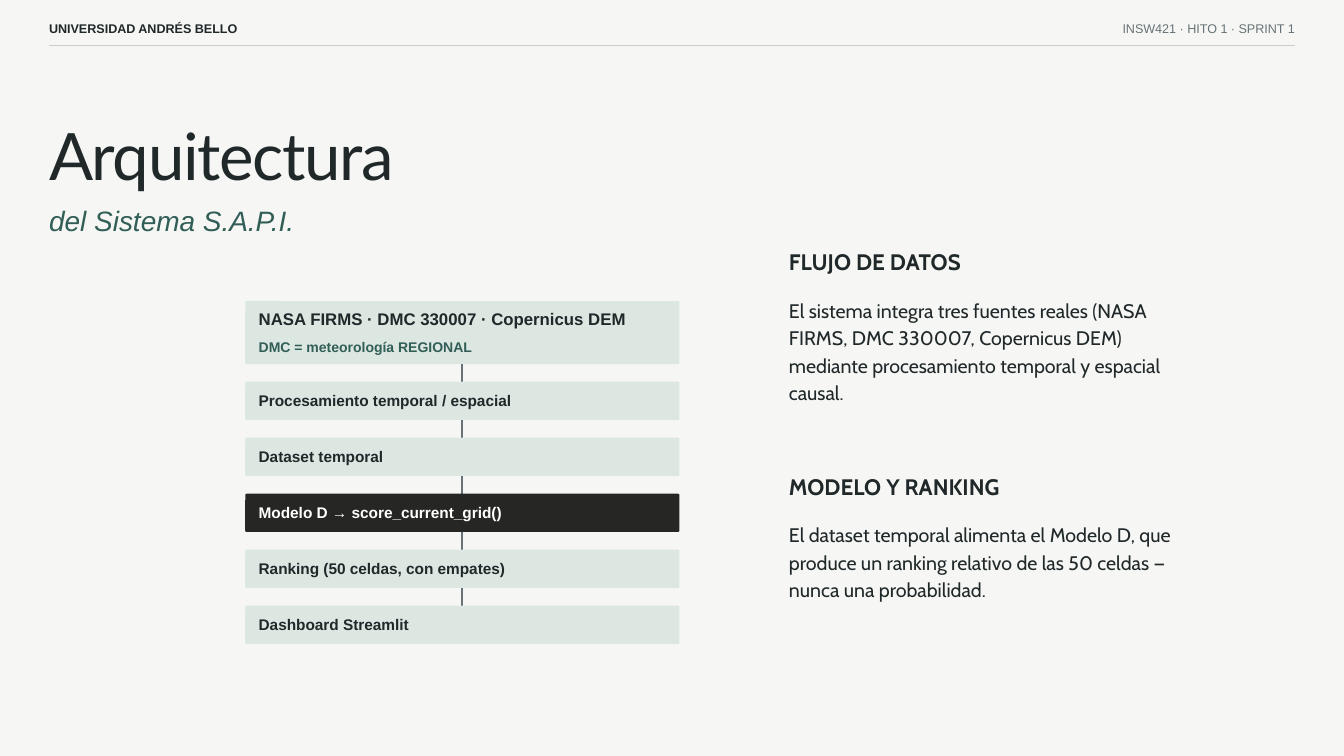
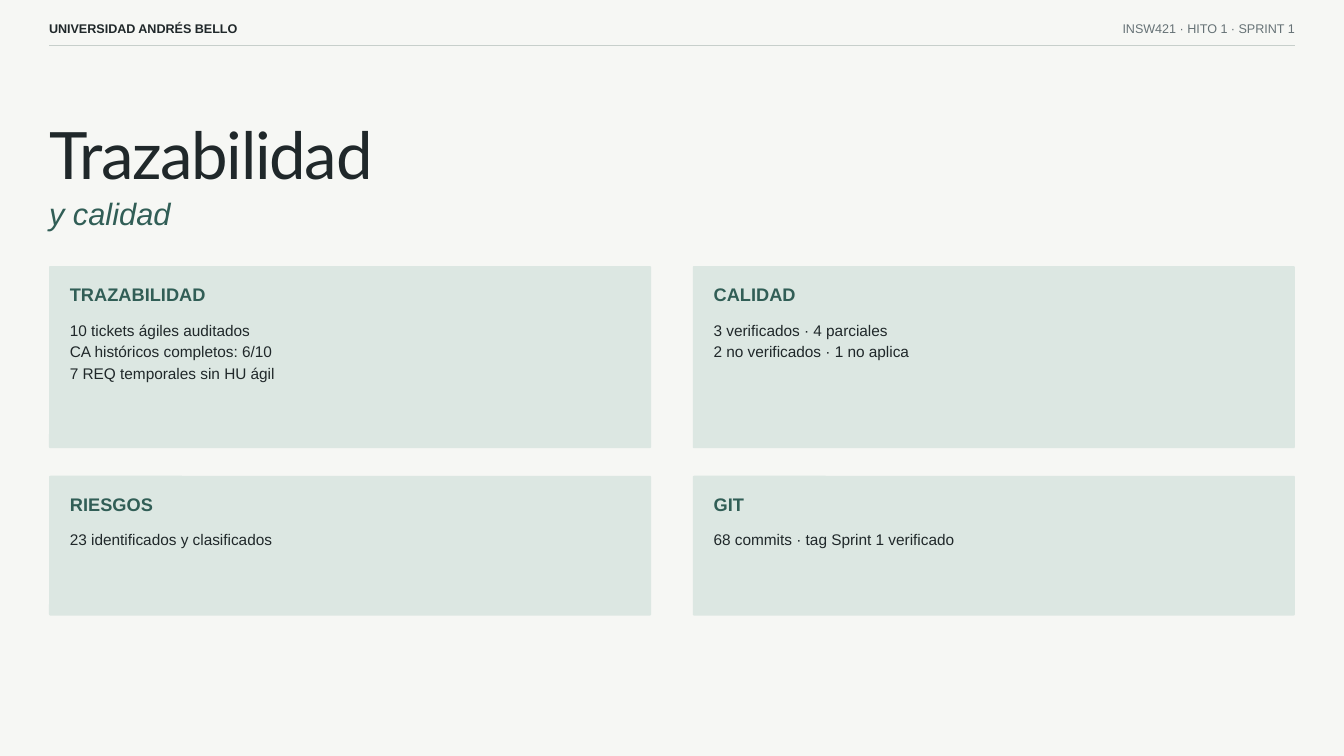
from pptx import Presentation
from pptx import util as u
from pptx.dml import color as clr
from pptx.enum import shapes, text
from pptx.oxml import ns
from lxml import etree

COLORS = {"paper": "F6F7F4", "ink": "20282A", "green": "315E56", "mint": "DCE7E2",
          "night": "262624", "gray": "667276", "rule": "C7CFCB", "white": "FFFFFF"}
STYLES = {
    "title": {"name": "Lato", "size": 70},
    "subtitle": {"name": "Arial", "italic": True},
    "label": {"name": "Arial", "bold": True},
    "plain": {"name": "Arial"},
    "heading": {"name": "Cabin", "bold": True, "size": 24},
    "body": {"name": "Cabin", "size": 21},
}
LEFT, RIGHT = 0.73, 19.27


def write(slide, words, box, style, color="ink", size=None, align="LEFT", leading=1.4):
    """Add a marginless text box; each line of words becomes a paragraph."""
    frame = slide.shapes.add_textbox(*map(u.Inches, box)).text_frame
    layout = {"word_wrap": True, "auto_size": text.MSO_AUTO_SIZE.SHAPE_TO_FIT_TEXT,
              "margin_left": 0, "margin_right": 0, "margin_top": 0, "margin_bottom": 0}
    for key, value in layout.items():
        setattr(frame, key, value)
    frame.text = words
    points = size or STYLES[style]["size"]
    for paragraph in frame.paragraphs:
        paragraph.alignment = getattr(text.PP_ALIGN, align)
        paragraph.line_spacing = u.Pt(points * leading)
        for run in paragraph.runs:
            for key, value in {**STYLES[style], "size": u.Pt(points)}.items():
                setattr(run.font, key, value)
            run.font.color.rgb = clr.RGBColor.from_string(COLORS[color])
            if style == "title":
                run._r.get_or_add_rPr().set("spc", "-140")


def draw(slide, box, color, width=None):
    """Add a panel of given size, or a line between two points if width is set."""
    shade = clr.RGBColor.from_string(COLORS[color])
    if width:
        line = slide.shapes.add_connector(shapes.MSO_CONNECTOR.STRAIGHT, *map(u.Inches, box))
        line.line.color.rgb = shade
        line.line.width = u.Pt(width)
        etree.SubElement(line._element.spPr, ns.qn("a:effectLst"))
        return
    panel = slide.shapes.add_shape(shapes.MSO_SHAPE.ROUNDED_RECTANGLE, *map(u.Inches, box))
    panel.adjustments[0] = 0.02 / box[3]
    panel.shadow.inherit = False
    panel.fill.solid()
    panel.fill.fore_color.rgb = shade
    panel.line.fill.background()


deck = Presentation()
deck.slide_width, deck.slide_height = u.Inches(20), u.Inches(11.25)

# Shared background, header and titles
openings = [
    ("Arquitectura", 1.71, "del Sistema S.A.P.I.", 2.94, 30),
    ("Trazabilidad", 1.7, "y calidad", 2.81, 33),
]
pages = []
for title, title_top, subtitle, subtitle_top, subtitle_size in openings:
    page = deck.slides.add_slide(deck.slide_layouts[6])
    page.background.fill.solid()
    page.background.fill.fore_color.rgb = clr.RGBColor.from_string(COLORS["paper"])
    write(page, "UNIVERSIDAD ANDRÉS BELLO", (LEFT, 0.27, 5.21, 0.26), "label", size=13.5)
    write(page, "INSW421 · HITO 1 · SPRINT 1", (RIGHT - 5.21, 0.27, 5.21, 0.26), "plain",
          "gray", 13.5, "RIGHT")
    draw(page, (LEFT, 0.68, RIGHT, 0.68), "rule", 1)
    write(page, title, (LEFT, title_top, 9.1, 1.16), "title", leading=1.2)
    write(page, subtitle, (LEFT, subtitle_top, 10.68, 0.6), "subtitle", "green", subtitle_size)
    pages.append(page)
architecture, traceability = pages

# Architecture: data sources at the head of the flow
flow_left, flow_width, step_height = 3.65, 6.46, 0.57
flow_center = flow_left + flow_width / 2
label_left, label_width = flow_left + 0.2, 6.04
draw(architecture, (flow_left, 4.48, flow_width, 0.94), "mint")
write(architecture, "NASA FIRMS · DMC 330007 · Copernicus DEM",
      (label_left, 4.54, label_width, 0.36), "label", size=18)
write(architecture, "DMC = meteorología REGIONAL",
      (label_left, 5, label_width, 0.3), "label", "green", 15)

# Architecture: steps, each joined to the one above
steps = [
    ("Procesamiento temporal / espacial", "mint", "ink"),
    ("Dataset temporal", "mint", "ink"),
    ("Modelo D → score_current_grid()", "night", "white"),
    ("Ranking (50 celdas, con empates)", "mint", "ink"),
    ("Dashboard Streamlit", "mint", "ink"),
]
for index, (step, fill, ink) in enumerate(steps):
    top = 5.68 + index * 5 / 6
    draw(architecture, (flow_center, top - 0.26, flow_center, top), "gray", 2.5)
    draw(architecture, (flow_left, top, flow_width, step_height), fill)
    write(architecture, step, (label_left, top + 0.09, label_width, 0.33), "label", ink, 16.5)

# Architecture: explanations
explanations = [
    (3.63, "FLUJO DE DATOS",
     "El sistema integra tres fuentes reales (NASA FIRMS, DMC 330007, Copernicus DEM) "
     "mediante procesamiento temporal y espacial causal."),
    (6.97, "MODELO Y RANKING",
     "El dataset temporal alimenta el Modelo D, que produce un ranking relativo de las "
     "50 celdas — nunca una probabilidad."),
]
for top, heading, explanation in explanations:
    write(architecture, heading, (11.74, top, 5.96, 0.43), "heading")
    write(architecture, explanation, (11.74, top + 0.76, 5.96, 1.4), "body")

# Traceability: two rows of two cards
card_width = 8.96
card_rows = [
    (3.96, 2.71, [
        ("TRAZABILIDAD", "10 tickets ágiles auditados\nCA históricos completos: 6/10\n"
                         "7 REQ temporales sin HU ágil"),
        ("CALIDAD", "3 verificados · 4 parciales\n2 no verificados · 1 no aplica"),
    ]),
    (7.08, 2.08, [
        ("RIESGOS", "23 identificados y clasificados"),
        ("GIT", "68 commits · tag Sprint 1 verificado"),
    ]),
]
for top, height, cards in card_rows:
    for left, (heading, facts) in zip((LEFT, RIGHT - card_width), cards):
        draw(traceability, (left, top, card_width, height), "mint")
        write(traceability, heading, (left + 0.31, top + 0.2, 8.33, 0.38), "label", "green", 19.5)
        write(traceability, facts, (left + 0.31, top + 0.77, 8.33, 0.33), "plain", size=16.5)

deck.save("out.pptx")
